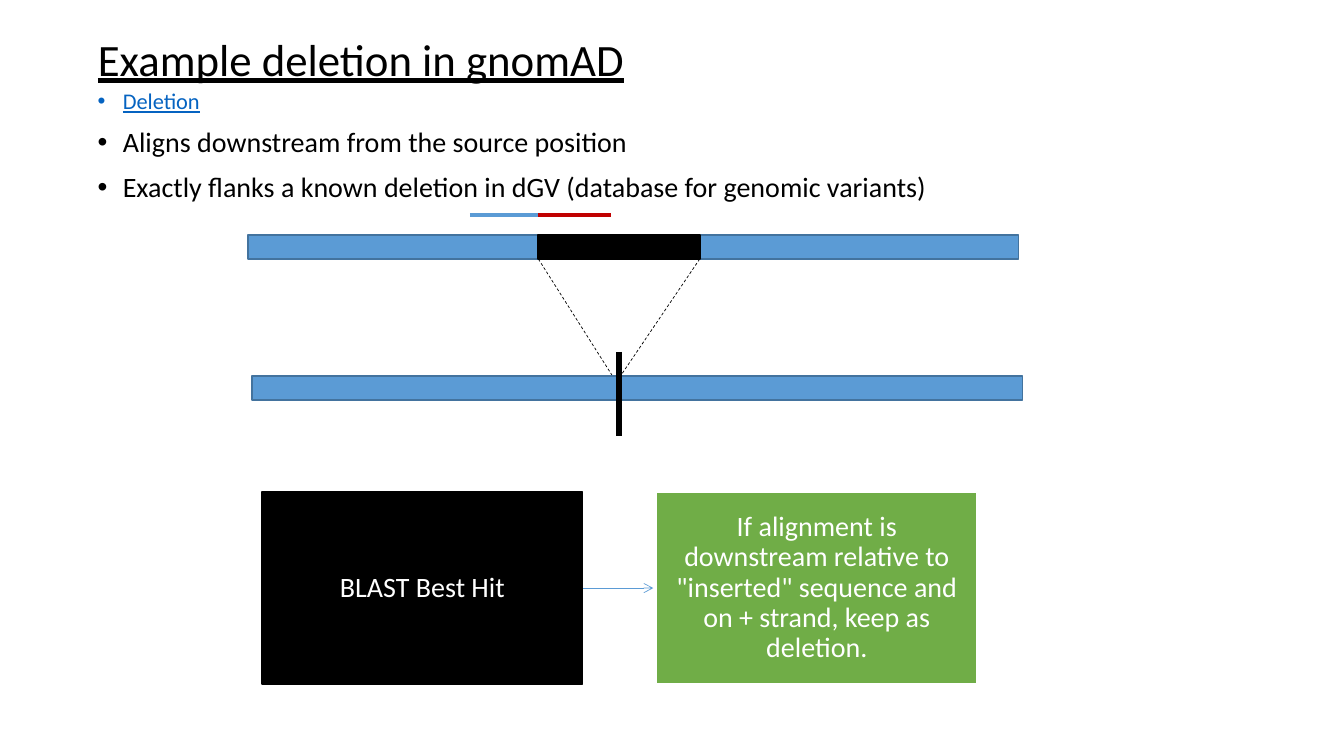
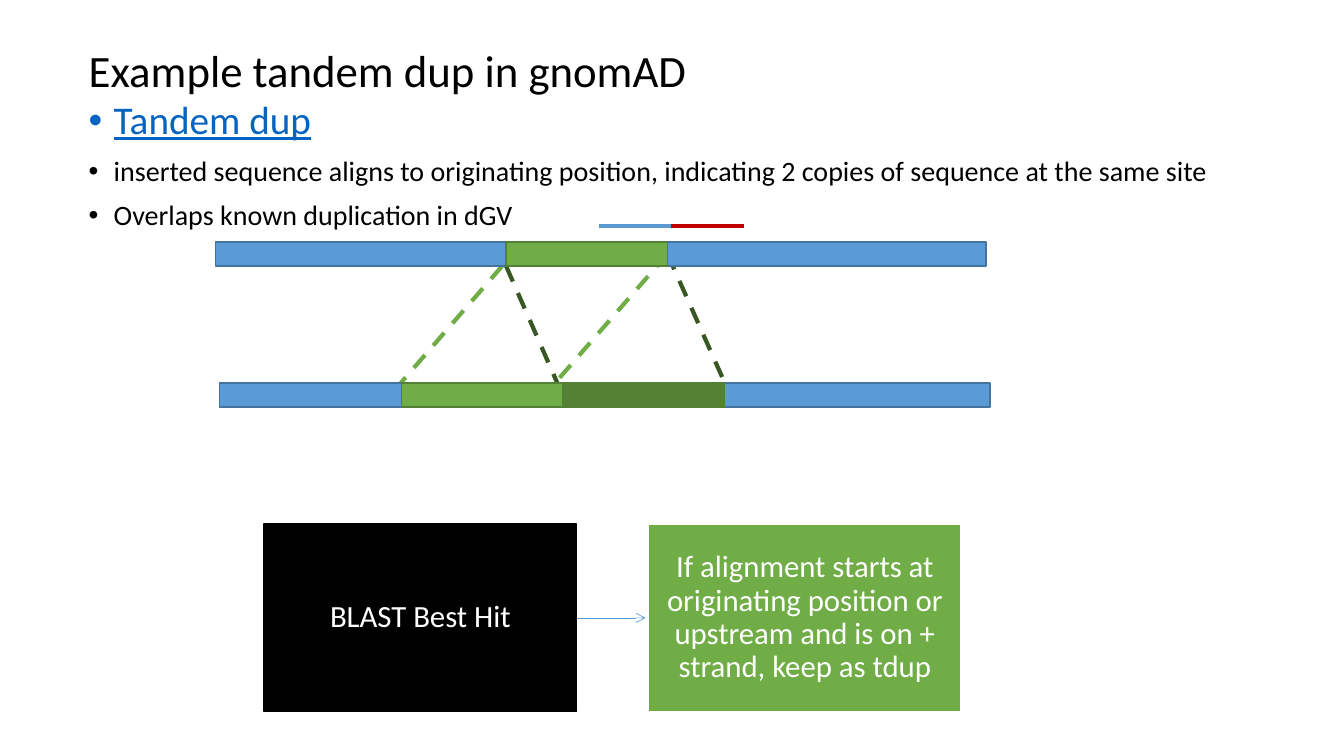
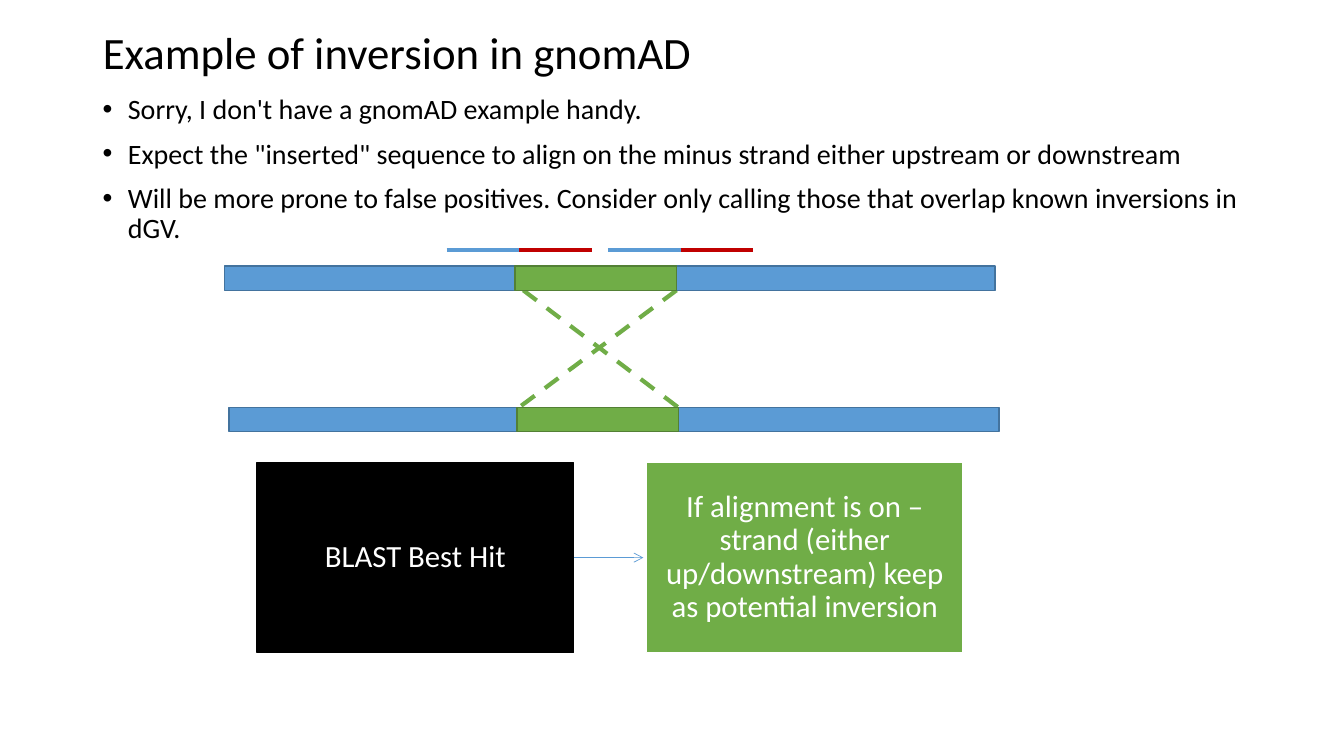
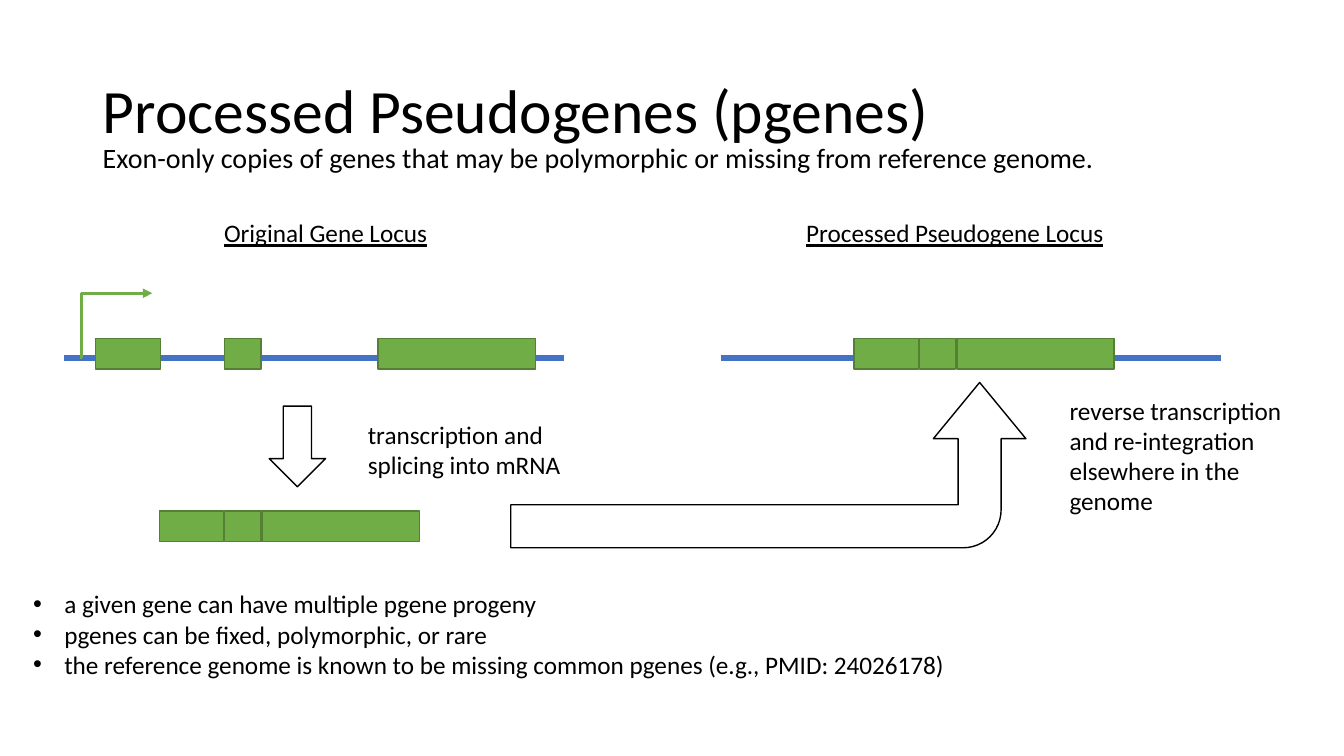
import pptx
import pptx.util
import pptx.dml.color
import pptx.enum.dml
import pptx.enum.shapes
import pptx.enum.text
import pptx.oxml
import pptx.oxml.ns

EMU_PER_PX = 9144  # 100 px to the inch
SHAPE = pptx.enum.shapes.MSO_SHAPE
CONNECTOR = pptx.enum.shapes.MSO_CONNECTOR
ALIGN = pptx.enum.text.PP_ALIGN
ANCHOR = pptx.enum.text.MSO_ANCHOR

FONT = "Calibri"
BLACK, WHITE = "000000", "FFFFFF"
BLUE, BLUE_EDGE, LINK, LOCUS = "5B9BD5", "43739E", "0563C1", "4472C4"
GREEN, GREEN_EDGE, DARK_GREEN, DEEP_GREEN = "70AD47", "538035", "548235", "385723"
RED = "C00000"
EXON_WIDTHS = (64, 36, 156)


def px(*lengths):
    return [pptx.util.Emu(round(length * EMU_PER_PX)) for length in lengths]


def color(hex_string):
    return pptx.dml.color.RGBColor.from_string(hex_string)


def add_xml(parent, tag, **attributes):
    child = pptx.oxml.parse_xml(f"<a:{tag} {pptx.oxml.ns.nsdecls('a')}/>")
    for name, value in attributes.items():
        child.set(name, str(value))
    parent.append(child)


class Slides:
    def __init__(self):
        self.deck = pptx.Presentation()
        self.deck.slide_width, self.deck.slide_height = px(1333, 750)
        self.page = None

    # Text
    def span(self, para, text, size, ink=BLACK, underline=False):
        span = para.add_run()
        span.text = text
        span.font.name = FONT
        span.font.size = pptx.util.Pt(size)
        span.font.color.rgb = color(ink)
        span.font.underline = underline

    def title(self, text, left, top, height=145, size=32, underline=False):
        self.page = self.deck.slides.add_slide(self.deck.slide_layouts[5])
        box = self.page.shapes.title
        box.left, box.top, box.width, box.height = px(left, top, 1150, height)
        box.text_frame.vertical_anchor = ANCHOR.MIDDLE
        para = box.text_frame.paragraphs[0]
        para.alignment = ALIGN.LEFT
        para.line_spacing = 0.9
        self.span(para, text, size, underline=underline)

    def frame(self, at):
        frame = self.page.shapes.add_textbox(*px(*at)).text_frame
        frame.word_wrap = True
        return frame

    def text(self, at, text, size=18, align=ALIGN.LEFT, underline=False):
        para = self.frame(at).paragraphs[0]
        para.alignment = align
        self.span(para, text, size, underline=underline)

    def bullets(self, at, items, indent=25, line_spacing=0.9, before=10):
        frame = self.frame(at)
        for index, (text, *style) in enumerate(items):
            para = frame.add_paragraph() if index else frame.paragraphs[0]
            properties = para._p.get_or_add_pPr()
            hang, = px(indent)
            properties.set("marL", str(hang))
            properties.set("indent", str(-hang))
            add_xml(properties, "buFont", typeface="Arial")
            add_xml(properties, "buChar", char="•")
            para.line_spacing = line_spacing
            para.space_before = pptx.util.Pt(before if index else 0)
            self.span(para, text, *style)

    # Shapes and lines
    def shape(self, at, fill, edge, width=1, kind=SHAPE.RECTANGLE):
        shape = self.page.shapes.add_shape(kind, *px(*at))
        shape.shadow.inherit = False
        shape.fill.solid()
        shape.fill.fore_color.rgb = color(fill)
        shape.line.color.rgb = color(edge)
        shape.line.width = pptx.util.Pt(width)
        return shape

    def line(self, ends, ink, width, dash=False, head=None, kind=CONNECTOR.STRAIGHT):
        line = self.page.shapes.add_connector(kind, *px(*ends))
        line.line.color.rgb = color(ink)
        line.line.width = pptx.util.Pt(width)
        if dash:
            line.line.dash_style = pptx.enum.dml.MSO_LINE.DASH
        if head:
            add_xml(line.line._get_or_add_ln(), "tailEnd", type=head)
        add_xml(line._element.spPr, "effectLst")
        return line

    # Genome drawings
    def genome(self, left, top):
        self.shape((left, top, 764, 24), BLUE, BLUE_EDGE)

    def segment(self, left, top, fill=GREEN, edge=GREEN_EDGE, width=1):
        self.shape((left, top, 160, 24), fill, edge, width)

    def read(self, left, top, step=72):
        for start, ink in ((left, BLUE), (left + step, RED)):
            self.line((start, top, start + 72, top), ink, 3)

    def exons(self, lefts, top):
        for left, width in zip(lefts, EXON_WIDTHS):
            self.shape((left, top, width, 30), GREEN, GREEN_EDGE)

    def spliced(self, left, top):
        self.exons((left, left + 65, left + 102), top)

    def rule(self, left, top, width, text, size, inset):
        """A black step, an arrow and the green rule that follows."""
        height, right = 0.6 * width, left + width
        middle = top + height / 2
        self.line((right, middle, right + 0.22 * width, middle), BLUE, 0.5, head="arrow")
        steps = ((left, "BLAST Best Hit", BLACK, BLACK),
                 (left + 1.23 * width, text, GREEN, WHITE))
        for start, words, fill, edge in steps:
            frame = self.shape((start, top, width, height), fill, edge).text_frame
            frame.word_wrap = True
            frame.vertical_anchor = ANCHOR.MIDDLE
            margin, = px(inset)
            frame.margin_left = frame.margin_right = margin
            frame.margin_top = frame.margin_bottom = margin
            para = frame.paragraphs[0]
            para.alignment = ALIGN.CENTER
            para.line_spacing = 0.9
            self.span(para, words, size, WHITE)


def deletion(slides):
    slides.title("Example deletion in gnomAD", 87, 14, height=94, underline=True)
    slides.bullets((87, 85, 1150, 610), [
        ("Deletion", 16, LINK, True),
        ("Aligns downstream from the source position", 20),
        ("Exactly flanks a known deletion in dGV (database for genomic variants)", 20)])
    slides.genome(246, 233)
    slides.segment(534, 233, BLACK, BLACK, 1.5)
    slides.line((534, 257, 610, 377), BLACK, 0.5, dash=True)
    slides.line((694, 257, 610, 381), BLACK, 0.5, dash=True)
    slides.genome(250, 373)
    slides.line((614, 349, 614, 433), BLACK, 4.5)
    slides.read(466, 213, step=68)
    slides.rule(260, 488, 318, "If alignment is downstream relative to \"inserted\" "
                "sequence and on + strand, keep as deletion.", 20, 16)


def tandem_dup(slides):
    slides.title("Example tandem dup in gnomAD", 78, 0)
    slides.bullets((78, 95, 1150, 476), [
        ("Tandem dup", 28, LINK, True),
        ("inserted sequence aligns to originating position, indicating 2 copies "
         "of sequence at the same site", 20),
        ("Overlaps known duplication in dGV", 20)])
    slides.read(594, 224)
    for ends, ink in (((498, 264, 394, 384), GREEN), ((662, 252, 554, 376), GREEN),
                      ((502, 264, 558, 392), DEEP_GREEN), ((662, 252, 726, 396), DEEP_GREEN)):
        slides.line(ends, ink, 3, dash=True)
    slides.genome(214, 240)
    slides.segment(502, 240)
    slides.genome(218, 380)
    slides.segment(558, 380, DARK_GREEN)
    slides.segment(398, 380)
    slides.rule(262, 520, 310, "If alignment starts at originating position or upstream "
                "and is on + strand, keep as tdup", 22, 17)


def inversion(slides):
    slides.title("Example of inversion in gnomAD", 92, -18)
    slides.bullets((92, 90, 1150, 476), [
        ("Sorry, I don't have a gnomAD example handy.", 20),
        ("Expect the \"inserted\" sequence to align on the minus strand either "
         "upstream or downstream", 20),
        ("Will be more prone to false positives. Consider only calling those that "
         "overlap known inversions in dGV.", 20)])
    for ends in ((671, 288, 515, 404), (519, 288, 683, 412)):
        slides.line(ends, GREEN, 3, dash=True)
    slides.genome(227, 404)
    slides.segment(513, 404)
    slides.genome(223, 264)
    slides.segment(511, 264)
    for left in (443, 603):
        slides.read(left, 248)
    slides.rule(255, 459, 314, "If alignment is on – strand (either up/downstream) keep "
                "as potential inversion", 22, 17)


def pseudogenes(slides):
    slides.title("Processed Pseudogenes (pgenes)", 92, 40, size=44)
    slides.text((92, 134, 1029, 44), "Exon-only copies of genes that may be polymorphic "
                "or missing from reference genome.", 20)

    # The two loci
    for left, heading in ((99, "Original Gene Locus"), (723, "Processed Pseudogene Locus")):
        slides.text((left, 211, 448, 40), heading, align=ALIGN.CENTER, underline=True)
    for left in (63, 715):
        slides.line((left, 355, left + 496, 355), LOCUS, 4.5)
    slides.exons((95, 223, 375), 336)
    slides.spliced(847, 336)
    start = slides.line((79, 355, 151, 291), GREEN, 2.25, head="triangle",
                        kind=CONNECTOR.ELBOW)
    add_xml(start._element.spPr.prstGeom.get_or_add_avLst(), "gd",
            name="adj1", fmla="val 3000")

    # From gene to mRNA and back into the genome
    slides.shape((267, 403, 56, 80), WHITE, BLACK, kind=SHAPE.DOWN_ARROW)
    slides.spliced(158, 507)
    slides.text((355, 411, 240, 71), "transcription and splicing into mRNA")
    arrow = slides.shape((680, 206, 164, 511), WHITE, BLACK, kind=SHAPE.BENT_ARROW)
    arrow.rotation = 270
    arrow._element.spPr.xfrm.set("flipV", "1")
    for index, value in enumerate((0.26, 0.28, 0.34, 0.23)):
        arrow.adjustments[index] = value
    slides.text((1051, 387, 240, 131),
                "reverse transcription and re-integration elsewhere in the genome")

    slides.bullets((23, 579, 1196, 101), [
        ("a given gene can have multiple pgene progeny", 18),
        ("pgenes can be fixed, polymorphic, or rare", 18),
        ("the reference genome is known to be missing common pgenes "
         "(e.g., PMID: 24026178)", 18)], indent=31, line_spacing=1.0, before=0)


def main():
    slides = Slides()
    for build in (deletion, tandem_dup, inversion, pseudogenes):
        build(slides)
    slides.deck.save("out.pptx")


if __name__ == "__main__":
    main()
